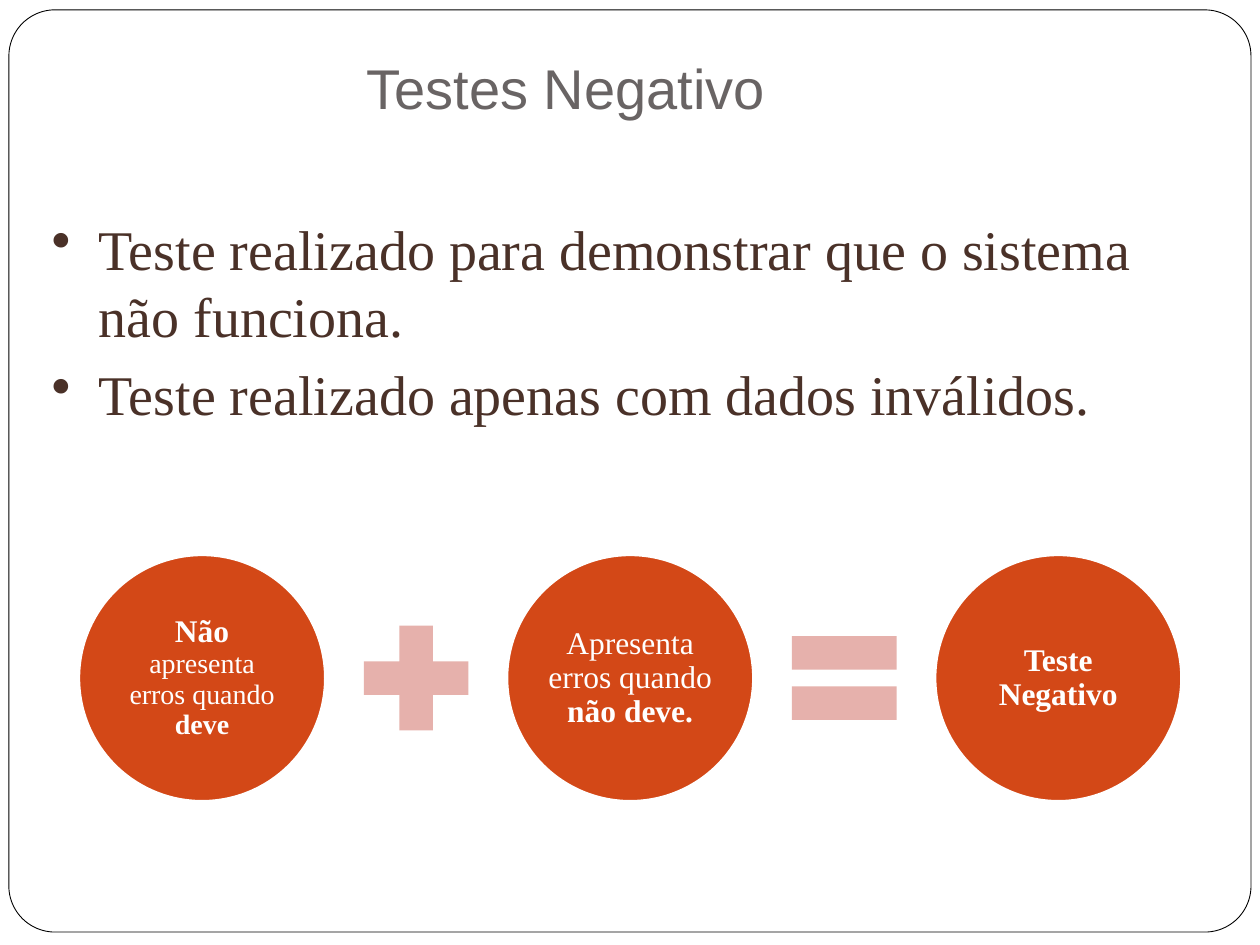
from dataclasses import dataclass

import pptx
import pptx.dml.color
import pptx.enum.shapes
import pptx.enum.text
import pptx.oxml
import pptx.oxml.ns
import pptx.util
from pptx.util import Cm

COLORS = {
    "white": "FFFFFF",
    "frame": "000000",
    "title": "696464",
    "body": "4A3128",
    "circle": "D34817",
    "operator": "E6B1AC",
}
SERIF = "Times New Roman"
SHAPES = pptx.enum.shapes.MSO_SHAPE
MIDDLE = pptx.enum.text.MSO_ANCHOR.MIDDLE

# Equation row: equal steps between circles, operators centred in the gaps
CIRCLE = 4.95
OPERATOR = 2.87
ROW_LEFT = 1.6
ROW_MIDDLE = 13.67
STEP = 8.63


@dataclass
class Run:
    text: str
    size: float
    bold: bool = False


TERMS = [
    [Run("Não ", 18, True), Run("apresenta erros quando ", 16), Run("deve", 16, True)],
    [Run("Apresenta erros quando ", 18), Run("não deve.", 18, True)],
    [Run("Teste Negativo", 18, True)],
]
OPERATORS = [SHAPES.MATH_PLUS, SHAPES.MATH_EQUAL]
BULLETS = [
    "Teste realizado para demonstrar que o sistema não funciona.",
    "Teste realizado apenas com dados inválidos.",
]


def rgb(name: str) -> pptx.dml.color.RGBColor:
    return pptx.dml.color.RGBColor.from_string(COLORS[name])


def add_run(p, run: Run, font: str, color: str) -> None:
    r = p.add_run()
    r.text = run.text
    r.font.name = font
    r.font.size = pptx.util.Pt(run.size)
    r.font.bold = run.bold
    r.font.color.rgb = rgb(color)


def add_shape(s, kind, left: float, top: float, width: float, height: float,
              fill: str, line: str = "", line_width: float = 1):
    sp = s.shapes.add_shape(kind, Cm(left), Cm(top), Cm(width), Cm(height))
    sp.shadow.inherit = False
    sp.fill.solid()
    sp.fill.fore_color.rgb = rgb(fill)
    if line:
        sp.line.color.rgb = rgb(line)
        sp.line.width = pptx.util.Pt(line_width)
    else:
        sp.line.fill.background()
    return sp


def add_text_box(s, left: float, top: float, width: float, height: float):
    tf = s.shapes.add_textbox(Cm(left), Cm(top), Cm(width), Cm(height)).text_frame
    tf.word_wrap = True
    return tf


def add_bullet(p) -> None:
    pPr = p._p.get_or_add_pPr()
    pPr.set("marL", str(Cm(0.95)))
    pPr.set("indent", str(-Cm(0.95)))
    bullet = pptx.oxml.parse_xml(
        f'<a:buChar {pptx.oxml.ns.nsdecls("a")} char="•"/>')
    pPr.append(bullet)


def add_term(s, left: float, runs: list[Run]) -> None:
    sp = add_shape(s, SHAPES.OVAL, left, ROW_MIDDLE - CIRCLE / 2, CIRCLE, CIRCLE,
                   "circle", "white")
    tf = sp.text_frame
    tf.word_wrap = True
    tf.vertical_anchor = MIDDLE
    tf.margin_left = tf.margin_right = tf.margin_top = tf.margin_bottom = Cm(0.08)
    p = tf.paragraphs[0]
    p.alignment = pptx.enum.text.PP_ALIGN.CENTER
    p.line_spacing = 0.9
    for run in runs:
        add_run(p, run, SERIF, "white")


def main() -> None:
    prs = pptx.Presentation()
    prs.slide_width, prs.slide_height = Cm(25.4), Cm(19.05)
    s = prs.slides.add_slide(prs.slide_layouts[6])

    # Frame
    frame = add_shape(s, SHAPES.ROUNDED_RECTANGLE, 0.18, 0.2, 25.04, 18.59,
                      "white", "frame", 0.5)
    frame.adjustments[0] = 0.05

    # Title
    tf = add_text_box(s, 7.14, 0.94, 17.86, 1.63)
    tf.vertical_anchor = MIDDLE
    add_run(tf.paragraphs[0], Run("Testes Negativo", 32), "Arial", "title")

    # Bullets
    tf = add_text_box(s, 0.79, 4.19, 23.83, 6.12)
    for i, text in enumerate(BULLETS):
        p = tf.add_paragraph() if i else tf.paragraphs[0]
        add_bullet(p)
        if i:
            p.space_before = pptx.util.Pt(6.4)
        add_run(p, Run(text, 32), SERIF, "body")

    # Equation
    for i, runs in enumerate(TERMS):
        add_term(s, ROW_LEFT + i * STEP, runs)
    for i, kind in enumerate(OPERATORS):
        left = ROW_LEFT + i * STEP + (CIRCLE + STEP - OPERATOR) / 2
        add_shape(s, kind, left, ROW_MIDDLE - OPERATOR / 2, OPERATOR, OPERATOR, "operator")

    prs.save("out.pptx")


if __name__ == "__main__":
    main()
